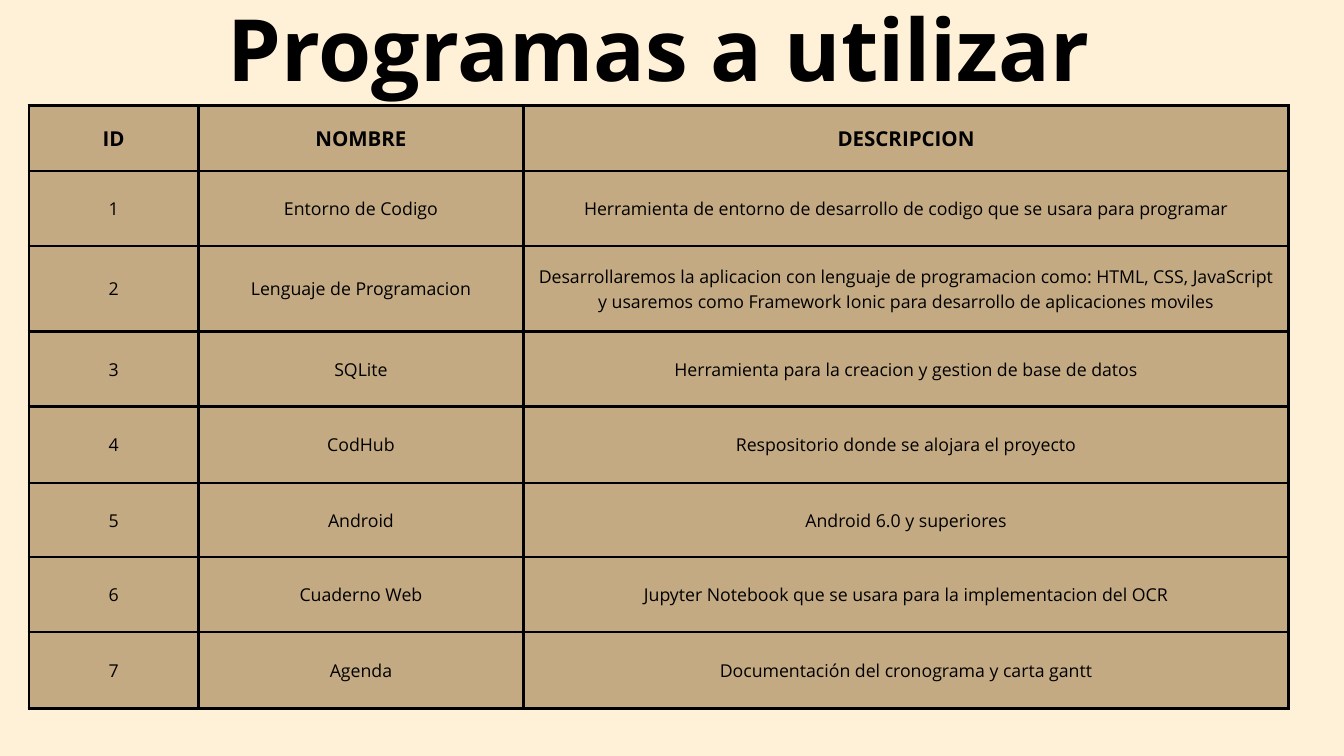
import pptx
import pptx.dml.color
import pptx.enum.shapes
import pptx.enum.text
import pptx.oxml
import pptx.oxml.ns
import pptx.util

Pt = pptx.util.Pt
INK = "000000"
TAN = "C4AA83"
CREAM = "FFF1D8"


def color(code):
    return pptx.dml.color.RGBColor.from_string(code)


def style(para, size, bold):
    """Centre a paragraph and set its font, with lines 1.4 times the size apart."""
    para.alignment = pptx.enum.text.PP_ALIGN.CENTER
    para.line_spacing = Pt(size * 1.4)
    para.font.name = "Open Sans"
    para.font.size = Pt(size)
    para.font.bold = bold
    para.font.color.rgb = color(INK)


deck = pptx.Presentation()
deck.slide_width = Pt(1440)
deck.slide_height = Pt(810)
slide = deck.slides.add_slide(deck.slide_layouts[6])
slide.background.fill.solid()
slide.background.fill.fore_color.rgb = color(CREAM)

# Table on a plain panel
rows = [
    ("ID", "NOMBRE", "DESCRIPCION"),
    ("1", "Entorno de Codigo",
     "Herramienta de entorno de desarrollo de codigo que se usara para programar"),
    ("2", "Lenguaje de Programacion",
     "Desarrollaremos la aplicacion con lenguaje de programacion como: HTML, CSS, "
     "JavaScript y usaremos como Framework Ionic para desarrollo de aplicaciones moviles"),
    ("3", "SQLite", "Herramienta para la creacion y gestion de base de datos"),
    ("4", "CodHub", "Respositorio donde se alojara el proyecto"),
    ("5", "Android", "Android 6.0 y superiores"),
    ("6", "Cuaderno Web", "Jupyter Notebook que se usara para la implementacion del OCR"),
    ("7", "Agenda", "Documentación del cronograma y carta gantt"),
]
widths = [181.5, 348.5, 819.5]
heights = [70, 80.5, 91.5, 80.5, 82, 79.5, 80.5, 82]
area = [Pt(n) for n in (31, 113, sum(widths), sum(heights))]

panel = slide.shapes.add_shape(pptx.enum.shapes.MSO_SHAPE.RECTANGLE, *area)
panel.shadow.inherit = False
panel.fill.solid()
panel.fill.fore_color.rgb = color(TAN)
panel.line.fill.background()

table = slide.shapes.add_table(len(rows), len(widths), *area).table
for col, width in zip(table.columns, widths):
    col.width = Pt(width)
for row, height in zip(table.rows, heights):
    row.height = Pt(height)

for r, texts in enumerate(rows):
    for c, text in enumerate(texts):
        cell = table.cell(r, c)
        cell.text = text
        cell.vertical_anchor = pptx.enum.text.MSO_ANCHOR.MIDDLE
        cell.margin_left = cell.margin_right = Pt(15)
        cell.margin_top = cell.margin_bottom = Pt(15)
        style(cell.text_frame.paragraphs[0], 22 if r == 0 else 19, r == 0)
        props = cell._tc.get_or_add_tcPr()
        for side in "LRTB":
            props.append(pptx.oxml.parse_xml(
                f'<a:ln{side} {pptx.oxml.ns.nsdecls("a")} w="{Pt(3)}"><a:solidFill>'
                f'<a:srgbClr val="{INK}"/></a:solidFill></a:ln{side}>'))
        cell.fill.background()

# Title
title = slide.shapes.add_textbox(Pt(242), Pt(-23), Pt(928), Pt(123)).text_frame
title.word_wrap = True
title.margin_left = title.margin_right = title.margin_top = title.margin_bottom = 0
title.text = "Programas a utilizar"
style(title.paragraphs[0], 92, True)

deck.save("out.pptx")
